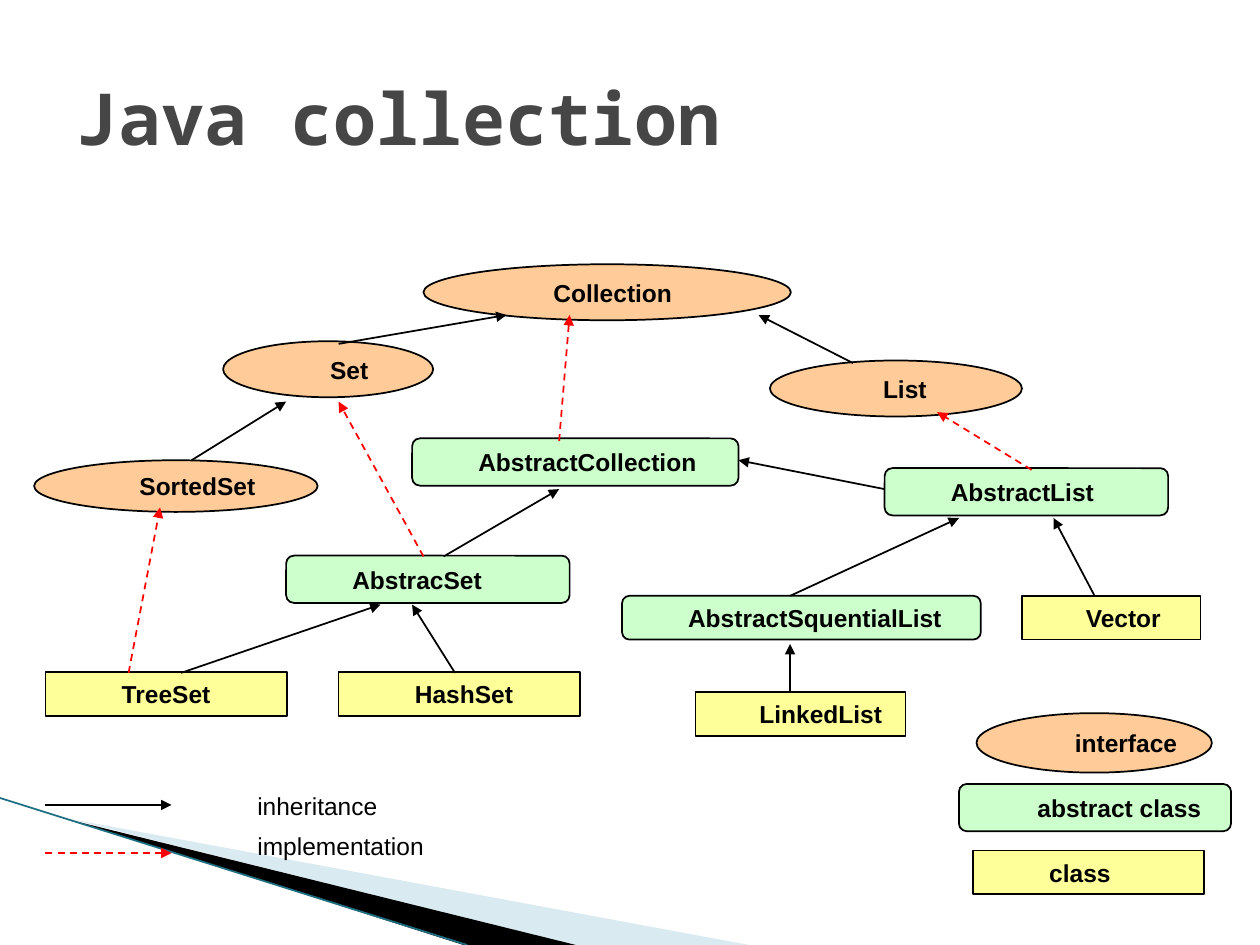
import pptx
import pptx.util
import pptx.dml.color
import pptx.enum.dml
import pptx.enum.shapes
import pptx.enum.text
import pptx.oxml
import pptx.oxml.ns

Pt = pptx.util.Pt
FORM = pptx.enum.shapes.MSO_SHAPE
HUES = {
    "black": "000000", "red": "FF0000", "title": "464646",
    "peach": "FFCC99", "green": "CCFFCC", "yellow": "FFFF99",
    "pale": "A0CBDC", "teal": "1F6F83",
}
KINDS = {
    "face": (FORM.OVAL, "peach"),
    "abstract": (FORM.ROUNDED_RECTANGLE, "green"),
    "class": (FORM.RECTANGLE, "yellow"),
}
NODES = [
    ("Set", "face", 127.5, 195, 120, 32, 7.2),
    ("Collection", "face", 242, 151, 210, 32, 7.2),
    ("List", "face", 440, 206, 144, 32, 7.2),
    ("AbstractCollection", "abstract", 235.5, 250.5, 186.5, 27, 0),
    ("AbstractList", "abstract", 505.5, 267.5, 162, 27, 0),
    ("AbstracSet", "abstract", 163.5, 317.5, 162, 27, 0),
    ("SortedSet", "face", 19.5, 263, 162, 29.5, 0),
    ("TreeSet", "class", 26, 384, 138, 25, 7.2),
    ("HashSet", "class", 193.5, 384, 138, 25, 7.2),
    ("Vector", "class", 584, 340.5, 102, 25, 0),
    ("AbstractSquentialList", "abstract", 355.5, 340.5, 205, 25, 0),
    ("LinkedList", "class", 397.5, 395.5, 120, 25, 0),
    ("interface", "face", 558, 407.5, 134.5, 34, 0),
    ("abstract class", "abstract", 548, 448, 155.5, 27, 7.2),
    ("class", "class", 556, 486, 132, 25, 7.2),
]
INHERIT = [
    (109.5, 263, 163.5, 229.5), (193.5, 196.5, 289.5, 180),
    (487.5, 207.5, 433.5, 180), (103.5, 384.5, 217.5, 345.5),
    (260, 384.5, 235.5, 345.5), (451.5, 395.5, 451.5, 368),
    (625.5, 340.5, 602, 296), (451.5, 340.5, 548, 296),
    (505.5, 279.5, 422, 263), (253.5, 318, 319.5, 279.5),
    (26, 460, 98, 460),
]
IMPLEMENT = [
    (73.5, 384.5, 91.5, 290), (242, 318, 193.5, 229.5),
    (319.5, 252, 325.5, 180), (589.5, 268.5, 535.5, 235.5),
    (26, 487.5, 98, 487.5),
]


def tint(fmt, hue):
    """Give a fill or line format a solid colour."""
    fmt.solid()
    fmt.fore_color.rgb = pptx.dml.color.RGBColor.from_string(HUES[hue])


def add_sub(node, tag, **attrs):
    """Append a drawing element with attributes and return it."""
    sub = pptx.oxml.parse_xml(f"<a:{tag} {pptx.oxml.ns.nsdecls('a')}/>")
    for key, val in attrs.items():
        sub.set(key, val)
    node.append(sub)
    return sub


def write(shape, text, size=14, font="Arial", hue="black", bold=True, hang=True):
    """Put one styled line of text in a shape."""
    frame = shape.text_frame
    frame.text = text
    frame.word_wrap = True
    para = frame.paragraphs[0]
    para.alignment = pptx.enum.text.PP_ALIGN.LEFT
    if hang:
        props = para._p.get_or_add_pPr()
        props.set("marL", str(Pt(59)))
        props.set("indent", str(-Pt(22.5)))
    style = para.runs[0].font
    style.size, style.name, style.bold = Pt(size), font, bold
    tint(style.fill, hue)
    return frame


def add_node(slide, text, kind, left, top, wide, high, inset):
    """Draw one labelled type in the outline of its kind."""
    form, hue = KINDS[kind]
    shape = slide.shapes.add_shape(form, Pt(left), Pt(top), Pt(wide), Pt(high))
    shape.shadow.inherit = False
    tint(shape.fill, hue)
    tint(shape.line.fill, "black")
    shape.line.width = Pt(1)
    frame = write(shape, text)
    frame.vertical_anchor = pptx.enum.text.MSO_ANCHOR.MIDDLE
    frame.margin_left = frame.margin_right = Pt(inset)
    frame.margin_top = frame.margin_bottom = 0
    if text == "interface":
        frame.word_wrap = False
        frame.paragraphs[0].alignment = pptx.enum.text.PP_ALIGN.CENTER


def add_line(slide, ends, hue, dash=False, head=True):
    """Draw a straight line, with an arrowhead at its end if asked."""
    link = slide.shapes.add_connector(
        pptx.enum.shapes.MSO_CONNECTOR.STRAIGHT, *map(Pt, ends))
    tint(link.line.fill, hue)
    link.line.width = Pt(1)
    if dash:
        link.line.dash_style = pptx.enum.dml.MSO_LINE.DASH
    if head:
        add_sub(link.line._get_or_add_ln(), "tailEnd", type="triangle")
    add_sub(link._element.spPr, "effectLst")


def add_wedge(slide, spots, hue, alpha=None):
    """Draw a filled wedge through the given points."""
    pen = slide.shapes.build_freeform(*spots[0], scale=float(Pt(1)))
    pen.add_line_segments(spots[1:], close=True)
    shape = pen.convert_to_shape()
    shape.shadow.inherit = False
    tint(shape.fill, hue)
    shape.line.fill.background()
    if alpha:
        tone = shape._element.spPr.find(".//" + pptx.oxml.ns.qn("a:srgbClr"))
        add_sub(tone, "alpha", val=str(alpha * 1000))


def add_text(slide, text, left, top, wide, high, **style):
    """Add a text box with one line and return its frame."""
    box = slide.shapes.add_textbox(Pt(left), Pt(top), Pt(wide), Pt(high))
    return write(box, text, **style)


def main():
    """Build the slide and save it."""
    deck = pptx.Presentation()
    deck.slide_width, deck.slide_height = Pt(720), Pt(540)
    slide = deck.slides.add_slide(deck.slide_layouts[6])
    add_wedge(slide, [(39.5, 468.5), (428.5, 540.5), (328.5, 540.5), (39.5, 468)],
              "pale", 40)
    add_wedge(slide, [(38, 467.5), (329, 540.5), (268, 541), (39, 468)], "black")
    add_line(slide, (0, 456, 267, 540), "teal", head=False)
    title = add_text(slide, "Java collection", 36, 21.5, 648, 90, size=41,
                     font="Noto Sans Mono", hue="title", hang=False)
    title.vertical_anchor = pptx.enum.text.MSO_ANCHOR.MIDDLE
    for node in NODES:
        add_node(slide, *node)
    for ends in INHERIT:
        add_line(slide, ends, "black")
    for ends in IMPLEMENT:
        add_line(slide, ends, "red", dash=True)
    add_text(slide, "inheritance", 103.5, 448.5, 138, 24.5, bold=False)
    add_text(slide, "implementation", 103.5, 471.5, 170.5, 24.5, bold=False)
    deck.save("out.pptx")


main()
